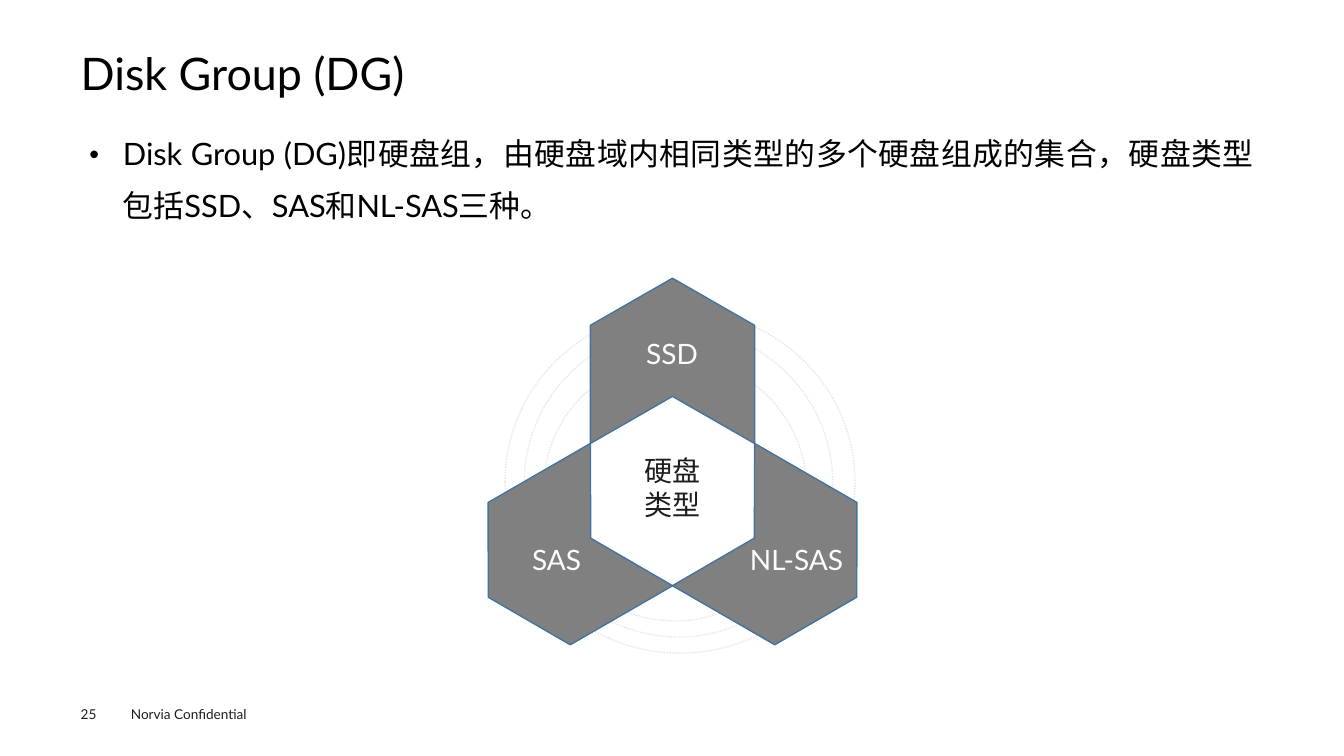
from math import cos, radians, sin

from lxml.etree import SubElement
from pptx import Presentation
from pptx.dml.color import RGBColor
from pptx.enum.dml import MSO_LINE
from pptx.enum.shapes import MSO_SHAPE
from pptx.enum.text import MSO_ANCHOR, MSO_AUTO_SIZE, PP_ALIGN
from pptx.oxml.ns import qn
from pptx.util import Inches, Pt

TITLE = "Disk Group (DG)"
BODY = "Disk Group (DG)即硬盘组，由硬盘域内相同类型的多个硬盘组成的集合，硬盘类型包括SSD、SAS和NL-SAS三种。"
FONT = "Lato"
COLORS = {"text": "000000", "footer": "1D1D1B", "center": "1C1C1C", "label": "FFFBFC",
          "ring": "E7E6E6", "chevron": "808080", "outline": "43739E"}

# left, top, width, height
RINGS = [(5.01, 3.08, 3.47, 3.4), (5.2, 3.26, 3.06, 3.06), (5.39, 3.55, 2.61, 2.61)]
LABELS = [
    (["硬盘", "类型"], (5.86, 4.45, 1.63, 0.77), "center"),
    (["SSD"], (5.77, 3.29, 1.79, 0.44), "label"),
    (["SAS"], (5.01, 5.33, 1.02, 0.44), "label"),
    (["NL-SAS"], (7.24, 5.33, 1.32, 0.44), "label"),
]
FOOTERS = [("Norvia Confidential", (1.2, 6.95, 1.6, 0.27), (0.1, 0.05)),
           ("25", (0.8, 7, 0.55, 0.16), (0, 0))]

# Chevrons point outwards from one shared centre
HUB_X, HUB_Y, HUB_RADIUS = 6.67, 4.87, 1.29
CHEVRON_WIDTH, CHEVRON_HEIGHT = 1.64, 1.63
CHEVRON_ANGLES = [150, 270, 30]


def color(name):
    return RGBColor.from_string(COLORS[name])


def fill_text(shape, lines, size, color_name, align=PP_ALIGN.LEFT, margins=(0.1, 0.05)):
    frame = shape.text_frame
    frame.word_wrap = True
    frame.auto_size = MSO_AUTO_SIZE.NONE
    frame.margin_left = frame.margin_right = Inches(margins[0])
    frame.margin_top = frame.margin_bottom = Inches(margins[1])
    frame.text = "\n".join(lines)
    for paragraph in frame.paragraphs:
        paragraph.alignment = align
        paragraph.font.name = FONT
        paragraph.font.size = Pt(size)
        paragraph.font.color.rgb = color(color_name)
    return frame


def add_text(slide, box, *args, **options):
    shape = slide.shapes.add_textbox(*map(Inches, box))
    return fill_text(shape, *args, **options)


def add_outlined(slide, kind, box, line_name):
    shape = slide.shapes.add_shape(kind, *map(Inches, box))
    shape.shadow.inherit = False
    shape.fill.background()
    shape.line.color.rgb = color(line_name)
    shape.line.width = Pt(1)
    return shape


def add_bullet(paragraph):
    properties = paragraph._p.get_or_add_pPr()
    properties.set("marL", str(Inches(0.33)))
    properties.set("indent", str(-Inches(0.33)))
    bullet = [("a:buSzPct", "val", "50000"), ("a:buFont", "typeface", FONT),
              ("a:buChar", "char", "●")]
    defaults = properties.find(qn("a:defRPr"))
    for tag, key, value in bullet:
        element = SubElement(properties, qn(tag))
        element.set(key, value)
        defaults.addprevious(element)


def main():
    presentation = Presentation()
    presentation.slide_width, presentation.slide_height = Inches(13.33), Inches(7.5)
    slide = presentation.slides.add_slide(presentation.slide_layouts[5])

    title = slide.shapes.title
    title.left, title.top, title.width, title.height = map(Inches, (0.8, 0.49, 11.73, 0.53))
    frame = fill_text(title, [TITLE], 32, "text", margins=(0, 0))
    frame.vertical_anchor = MSO_ANCHOR.MIDDLE
    frame.paragraphs[0].line_spacing = 0.9

    body = add_text(slide, (0.8, 1.15, 11.73, 1.3), [BODY], 22, "text",
                    align=PP_ALIGN.JUSTIFY, margins=(0.09, 0.04))
    paragraph = body.paragraphs[0]
    paragraph.line_spacing = 1.4
    paragraph.space_before = Pt(7.9)
    add_bullet(paragraph)

    for box in RINGS:
        ring = add_outlined(slide, MSO_SHAPE.OVAL, box, "ring")
        ring.line.dash_style = MSO_LINE.ROUND_DOT

    for angle in CHEVRON_ANGLES:
        left = HUB_X + HUB_RADIUS * cos(radians(angle)) - CHEVRON_WIDTH / 2
        top = HUB_Y + HUB_RADIUS * sin(radians(angle)) - CHEVRON_HEIGHT / 2
        box = (left, top, CHEVRON_WIDTH, CHEVRON_HEIGHT)
        chevron = add_outlined(slide, MSO_SHAPE.CHEVRON, box, "outline")
        chevron.adjustments[0] = 0.287
        chevron.rotation = angle
        chevron.fill.solid()
        chevron.fill.fore_color.rgb = color("chevron")

    for lines, box, color_name in LABELS:
        add_text(slide, box, lines, 20, color_name, align=PP_ALIGN.CENTER)
    for text, box, margins in FOOTERS:
        add_text(slide, box, [text], 9.7, "footer", margins=margins)

    presentation.save("out.pptx")


if __name__ == "__main__":
    main()
